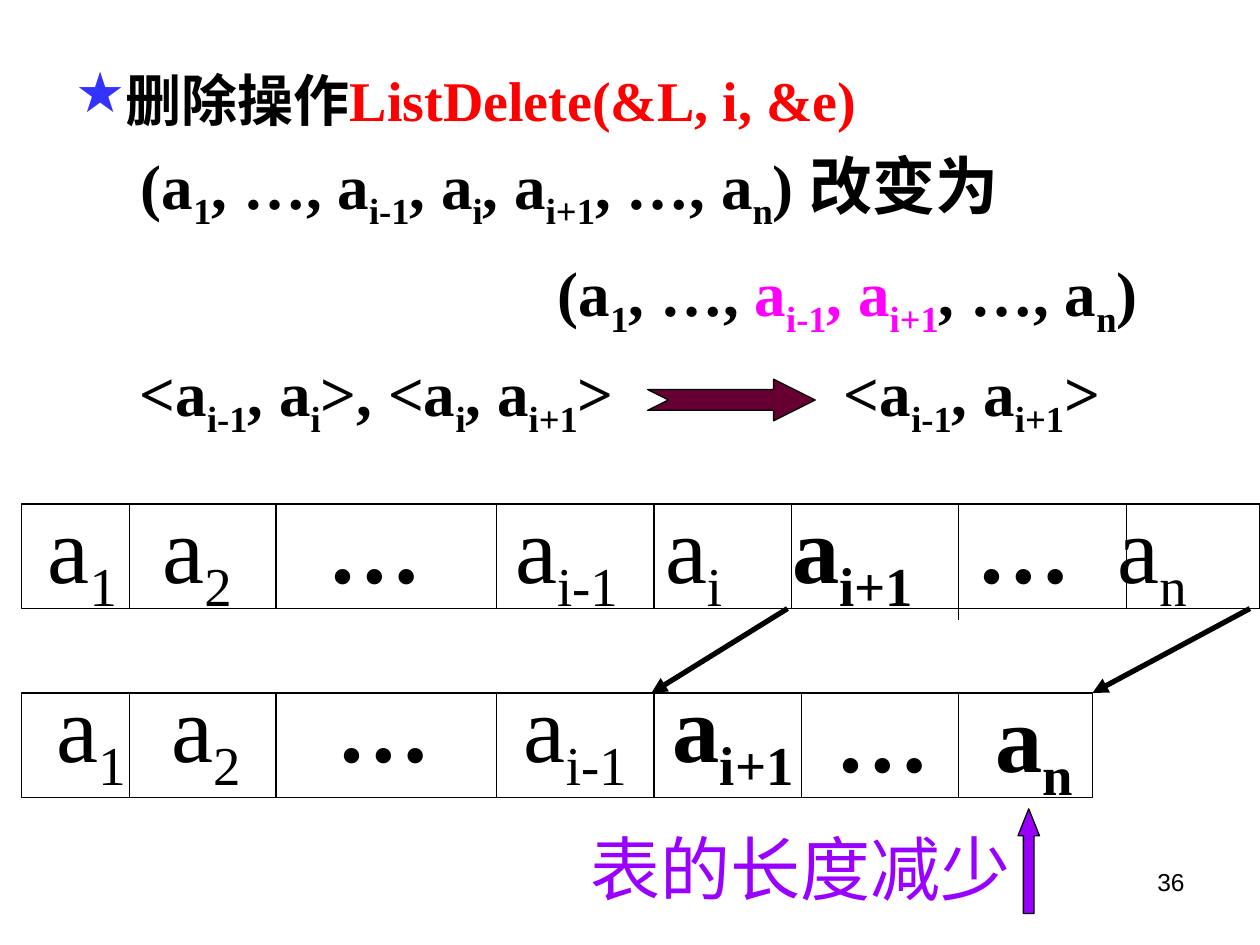
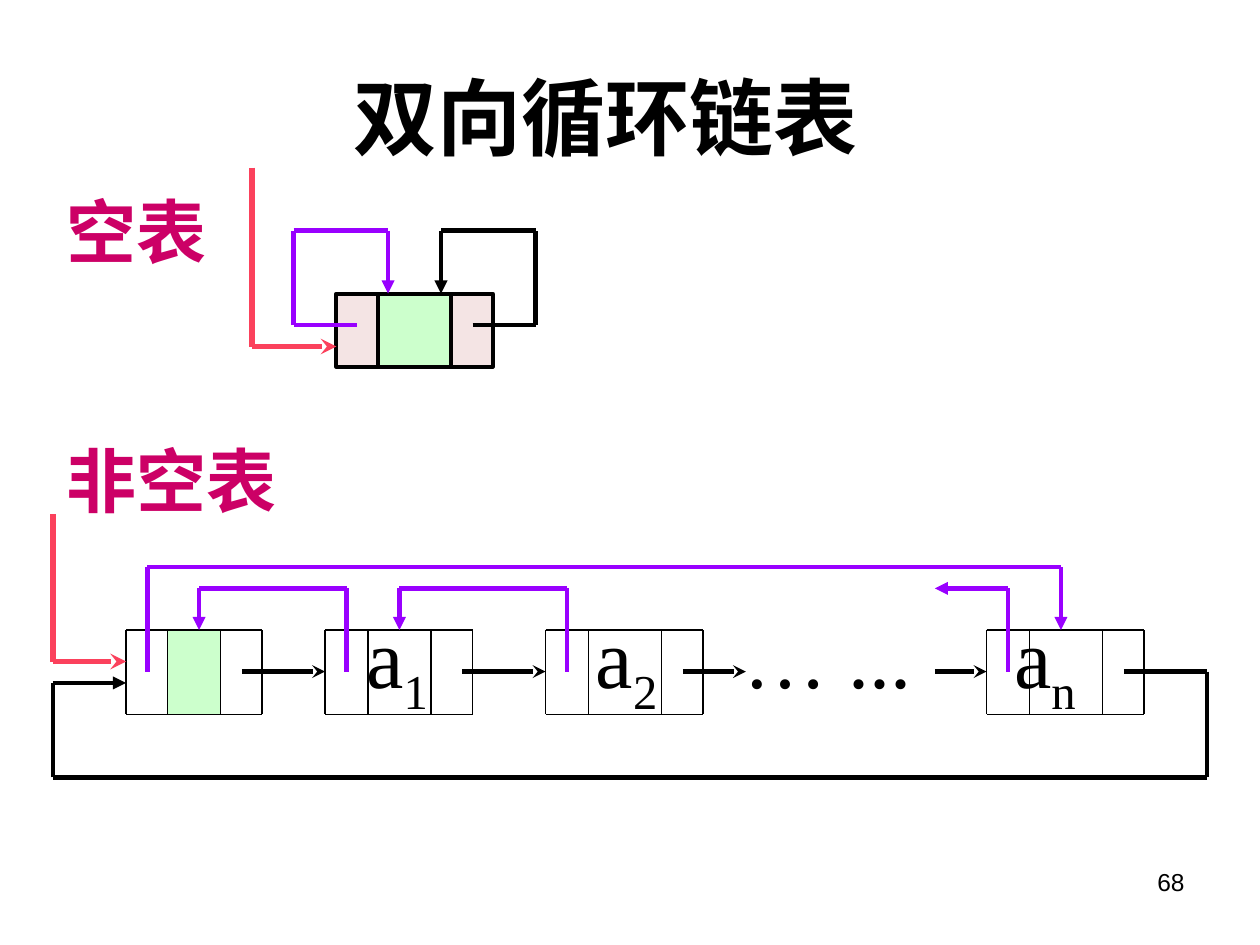
from itertools import pairwise

from lxml.etree import SubElement
from pptx import Presentation
from pptx.dml.color import RGBColor
from pptx.enum.shapes import MSO_CONNECTOR, MSO_SHAPE
from pptx.enum.text import PP_ALIGN
from pptx.oxml.ns import qn
from pptx.util import Inches, Pt

COLOURS = {
    "black": "000000",
    "red": "FF0000",
    "magenta": "FF00FF",
    "star": "3333FF",
    "violet": "9900FF",
    "maroon": "660033",
    "crimson": "CC0066",
    "coral": "FB415C",
    "green": "CCFFCC",
    "pink": "F4E4E4",
}
SERIF, SANS = "Times New Roman", "Arial"
INSET = 0.1
THIN, LINK, ENTRY = 0.75, 2.5, 3


def colour(name):
    return RGBColor.from_string(COLOURS[name])


def add_runs(paragraph, text, size, tint="black", bold=False, font=SERIF):
    """Add text to a paragraph; parts between underscores become subscripts."""
    for index, part in enumerate(text.split("_")):
        if not part:
            continue
        run = paragraph.add_run()
        run.text = part
        run.font.size = Pt(size)
        run.font.name = font
        run.font.bold = bold
        run.font.color.rgb = colour(tint)
        if index % 2:
            run.font._element.set("baseline", "-25000")


def add_text_frame(slide, left, top, width, height):
    box = slide.shapes.add_textbox(*map(Inches, (left, top, width, height)))
    box.text_frame.word_wrap = True
    return box.text_frame


def add_label(slide, left, top, width, height, text, size, **style):
    frame = add_text_frame(slide, left, top, width, height)
    add_runs(frame.paragraphs[0], text, size, **style)
    return frame


def add_block(slide, kind, left, top, width, height, fill=None, line=THIN):
    shape = slide.shapes.add_shape(kind, *map(Inches, (left, top, width, height)))
    shape.shadow.inherit = False
    if fill:
        shape.fill.solid()
        shape.fill.fore_color.rgb = colour(fill)
    else:
        shape.fill.background()
    shape.line.color.rgb = colour("black")
    shape.line.width = Pt(line)
    return shape


def add_route(slide, points, tint="black", width=THIN, head=None):
    """Join the points with straight lines; the last one may carry an arrowhead."""
    for start, end in pairwise(points):
        connector = slide.shapes.add_connector(
            MSO_CONNECTOR.STRAIGHT, *map(Inches, (*start, *end)))
        connector.line.color.rgb = colour(tint)
        connector.line.width = Pt(width)
        if head and end == points[-1]:
            SubElement(connector.line._get_or_add_ln(), qn("a:tailEnd"), type=head)
        SubElement(connector._element.spPr, qn("a:effectLst"))


def add_page_number(slide, number):
    frame = add_label(slide, 7.17, 6.83, 2.33, 0.52, str(number), 14, font=SANS)
    frame.paragraphs[0].alignment = PP_ALIGN.RIGHT


# Deletion slide

def add_operation_heading(slide, left, top):
    paragraph = add_text_frame(slide, left, top, 9, 0.72).paragraphs[0]
    properties = paragraph._p.get_or_add_pPr()
    properties.set("marL", str(Inches(0.81)))
    properties.set("indent", str(Inches(-0.31)))
    bullet_colour = SubElement(properties, qn("a:buClr"))
    SubElement(bullet_colour, qn("a:srgbClr"), val=COLOURS["star"])
    SubElement(properties, qn("a:buChar"), char="★")
    add_runs(paragraph, "删除操作", 32, bold=True)
    add_runs(paragraph, "ListDelete(&L, i, &e)", 32, tint="red", bold=True)


def add_sequences(slide, left, top):
    # Sequence before and after the deletion
    frame = add_text_frame(slide, left, top, 8.6, 1.81)
    before, after = frame.paragraphs[0], frame.add_paragraph()
    after._p.get_or_add_pPr().set("marL", str(Inches(3.31)))
    before.line_spacing = after.line_spacing = 1.25
    add_runs(before, "(a_1_, …, a_i-1_, a_i_, a_i+1_, …, a_n_) 改变为", 36, bold=True)
    for text, tint in [("(a_1_, …, ", "black"),
                       ("a_i-1_, a_i+1_", "magenta"),
                       (", …, a_n_)", "black")]:
        add_runs(after, text, 36, tint=tint, bold=True)

    # Neighbour pairs before and after
    pair_top = top + 1.82
    add_label(slide, left - 0.01, pair_top, 4.2, 0.79,
              "<a_i-1_, a_i_>, <a_i_, a_i+1_>", 36, bold=True)
    arrow = add_block(slide, MSO_SHAPE.NOTCHED_RIGHT_ARROW,
                      left + 4.12, pair_top + 0.25, 1.33, 0.33, "maroon")
    arrow.adjustments[1] = 1
    add_label(slide, left + 5.58, pair_top, 2.5, 0.79,
              "<a_i-1_, a_i+1_>", 36, bold=True)


def add_array(slide, left, top, width, dividers, cells):
    """Draw an array; dividers and cell texts are measured from its left edge."""
    height = 0.83
    for offset, text, rise, bold in cells:
        add_label(slide, left + offset - INSET, top - rise, 1.8, 1.13,
                  text, 54, bold=bold)
    for offset, overhang in dividers:
        x = left + offset
        add_route(slide, [(x, top), (x, top + height + overhang)])
    add_block(slide, MSO_SHAPE.RECTANGLE, left, top, width, height)


def build_deletion_slide(presentation):
    slide = presentation.slides.add_slide(presentation.slide_layouts[6])
    add_page_number(slide, 36)
    add_operation_heading(slide, 0, 0.47)
    add_sequences(slide, 1.02, 0.94)

    # Arrays before and after, with the same first cells
    left, before_top, after_top = 0.17, 4, 5.5
    first_dividers = [(0.86, 0), (2.02, 0), (3.77, 0), (5.02, 0)]
    first_cells = [(0.21, "a_1_", False), (1.12, "a_2_", False),
                   (2.43, "…", True), (3.92, "a_i-1_", False)]
    add_array(slide, left, before_top, 9.83,
              first_dividers + [(6.11, 0), (7.44, 0.09), (8.77, 0)],
              [(x, text, 0.17, bold) for x, text, bold in first_cells]
              + [(5.11, "a_i_", 0.17, False), (6.12, "a_i+1_", 0.17, True),
                 (7.58, "…", 0.17, True), (8.7, "a_n_", 0.17, False)])
    add_array(slide, left, after_top, 8.5,
              first_dividers + [(6.19, 0), (7.44, 0)],
              [(x + 0.07, text, 0.25, bold) for x, text, bold in first_cells]
              + [(5.17, "a_i+1_", 0.25, True), (6.46, "…", 0.17, True),
                 (7.73, "a_n_", 0.17, True)])

    # Elements moving forward
    for start, end in [(6.25, 5.17), (9.92, 8.67)]:
        add_route(slide, [(start, before_top + 0.83), (end, after_top)],
                  width=3, head="triangle")

    # Remark on the length
    add_label(slide, 4.59, 6.5, 3.6, 0.77, "表的长度减少", 40, tint="violet")
    arrow = add_block(slide, MSO_SHAPE.UP_ARROW, 8.08, 6.42, 0.17, 0.83, "violet")
    arrow.adjustments[1] = 1.25


# Linked list slide

def add_empty_list(slide, left, top):
    """Draw the lone head node, which points at itself on both sides."""
    for offset, width, fill in [(0.33, 0.58, "green"), (0.91, 0.33, "pink"),
                                (0, 0.33, "pink")]:
        add_block(slide, MSO_SHAPE.RECTANGLE, left + offset, top, width, 0.58,
                  fill, 2.25)
    for offsets, tint in [((1.08, 1.58, 0.83), "black"),
                          ((0.16, -0.34, 0.41), "violet")]:
        inner, outer, target = [left + offset for offset in offsets]
        add_route(slide, [(inner, top + 0.25), (outer, top + 0.25),
                          (outer, top - 0.5), (target, top - 0.5), (target, top)],
                  tint, LINK, "triangle")
    add_entry(slide, left - 0.67, top - 1, left, top + 0.42)


def add_entry(slide, left, top, right, bottom):
    add_route(slide, [(left, top), (left, bottom), (right, bottom)],
              "coral", ENTRY, "stealth")


def add_node(slide, top, bottom, edges):
    for y in (top, bottom):
        add_route(slide, [(edges[0], y), (edges[-1], y)])
    for x in edges:
        add_route(slide, [(x, top), (x, bottom)])


def add_filled_list(slide, top):
    bottom, middle, loop = top + 0.67, top + 0.33, top - 0.33
    edge_left, edge_right = 0.42, 9.58

    # Node contents
    for x, text in [(2.91, "a_1_"), (4.73, "a_2_"), (5.9, "… ..."), (8.05, "a_n_")]:
        add_label(slide, x - INSET, top - 0.25, 1.8, 1, text, 48)

    # Nodes
    add_block(slide, MSO_SHAPE.RECTANGLE, 1.33, top, 0.42, 0.67, "green")
    for edges in [(1, 1.33, 1.75, 2.08), (2.58, 2.92, 3.42, 3.75),
                  (4.33, 4.67, 5.25, 5.58), (7.83, 8.17, 8.75, 9.08)]:
        add_node(slide, top, bottom, edges)

    # Links to the next node, the last one going round to the head
    for start, end in [(1.92, 2.58), (3.67, 4.33), (5.42, 5.92), (7.42, 7.83)]:
        add_route(slide, [(start, middle), (end, middle)], width=LINK, head="stealth")
    add_route(slide, [(8.92, middle), (edge_right, middle), (edge_right, top + 1.17),
                      (edge_left, top + 1.17), (edge_left, top + 0.42), (1, top + 0.42)],
              width=LINK, head="triangle")

    # Links to the previous node
    for start, end, height in [(4.5, 3.17, loop), (2.75, 1.58, loop),
                               (1.17, 8.42, top - 0.5)]:
        add_route(slide, [(start, middle), (start, height), (end, height), (end, top)],
                  "violet", LINK, "triangle")
    add_route(slide, [(8, middle), (8, loop), (7.42, loop)], "violet", LINK, "triangle")
    add_entry(slide, edge_left, top - 0.92, 1, top + 0.25)


def build_linked_list_slide(presentation):
    slide = presentation.slides.add_slide(presentation.slide_layouts[6])
    add_page_number(slide, 68)
    add_label(slide, 2.71, 0.47, 4.4, 0.9, "双向循环链表", 48, bold=True)
    for top, text in [(1.45, "空表"), (3.42, "非空表")]:
        add_label(slide, 0.43, top, 2.1, 0.77, text, 40, tint="crimson", bold=True)
    add_empty_list(slide, 2.67, 2.33)
    add_filled_list(slide, 5)


def main():
    presentation = Presentation()
    presentation.slide_width, presentation.slide_height = Inches(10), Inches(7.5)
    build_deletion_slide(presentation)
    build_linked_list_slide(presentation)
    presentation.save("out.pptx")


if __name__ == "__main__":
    main()
